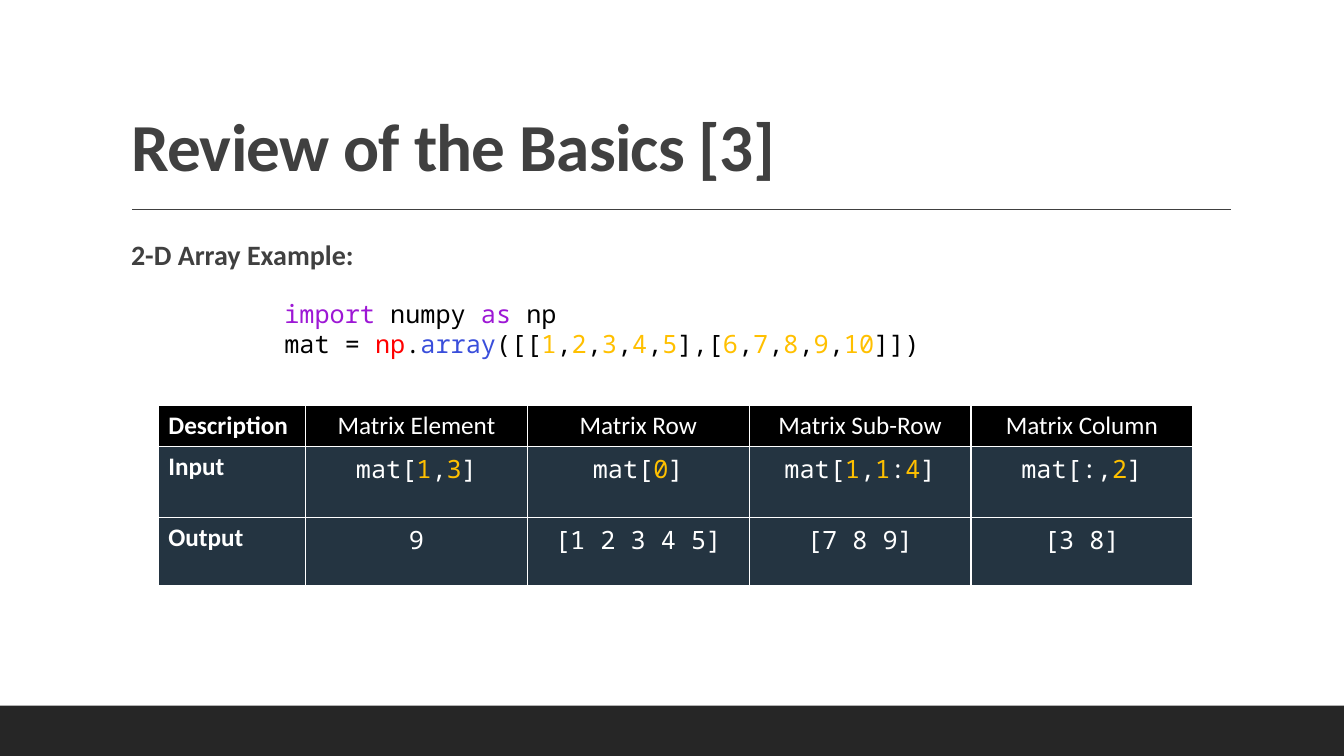
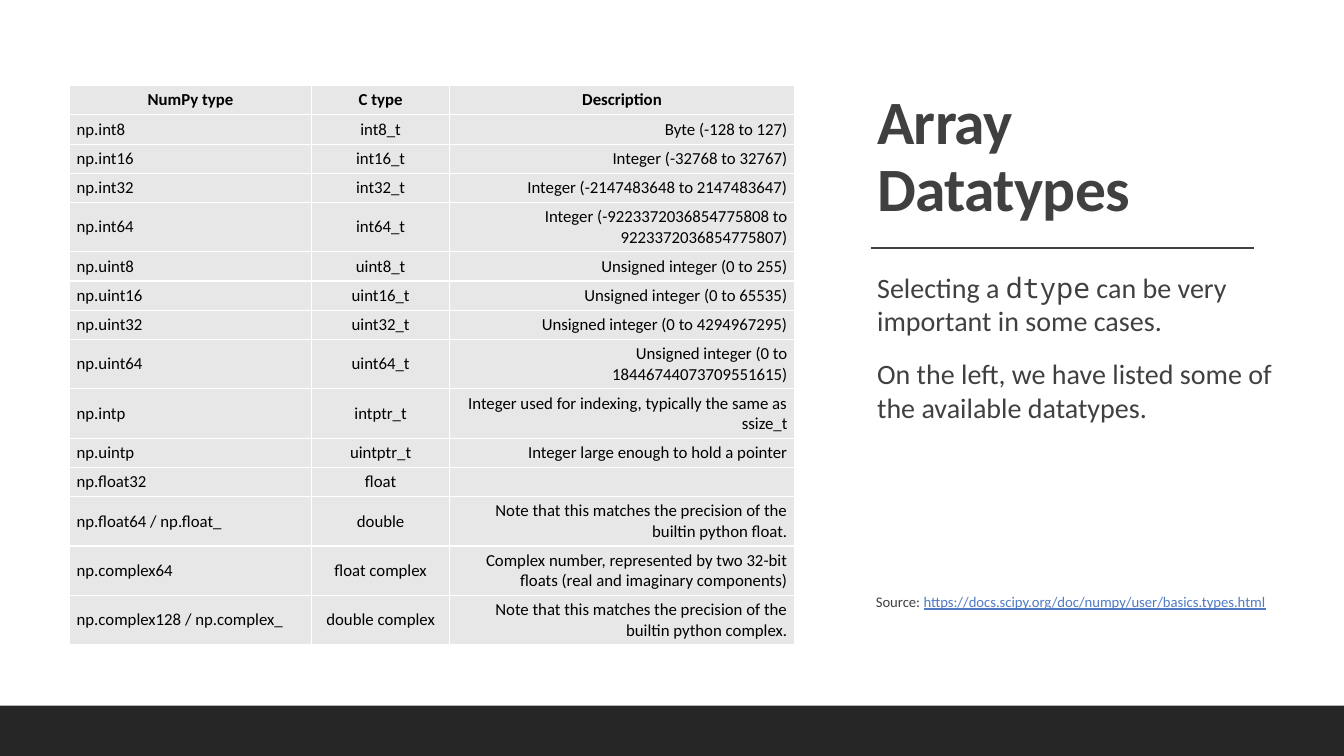
from itertools import groupby

from pptx import Presentation
from pptx.dml.color import RGBColor
from pptx.enum.shapes import MSO_CONNECTOR as Connector, MSO_SHAPE as Preset
from pptx.enum.text import MSO_ANCHOR as Anchor, MSO_AUTO_SIZE as AutoSize, PP_ALIGN as Align
from pptx.oxml import parse_xml
from pptx.oxml.ns import nsdecls
from pptx.util import Inches, Pt

COLORS = {name: RGBColor.from_string(value) for name, value in {
    "ink": "404040", "band": "262626", "black": "000000", "white": "FFFFFF",
    "keyword": "9D17D5", "module": "FF0000", "function": "394EDB", "number": "FFC000",
    "slate": "243441", "pale": "E7E7E7", "link": "4F7BC4",
}.items()}
SANS, MONO = "Calibri", "Noto Sans Mono"

presentation = Presentation()
presentation.slide_width, presentation.slide_height = Inches(13.33), Inches(7.5)
WIDTH, HEIGHT = presentation.slide_width, presentation.slide_height
BAND_HEIGHT = HEIGHT // 15


def write_runs(paragraph, pieces, size, font=SANS, align=Align.LEFT, bold=False, digits=None):
    """Fill a paragraph with (text, colour[, font]) pieces; digits may get their own colour."""
    paragraph.alignment = align
    paragraph.font.size, paragraph.font.name, paragraph.font.bold = Pt(size), font, bold
    for text, color, *own_font in pieces:
        for is_digit, group in groupby(text, lambda letter: bool(digits) and letter.isdigit()):
            run = paragraph.add_run()
            run.text = "".join(group)
            run.font.color.rgb = COLORS[digits if is_digit else color]
            if own_font:
                run.font.name = own_font[0]
            if color == "link":
                run.font.underline = True


def start_slide(title, size, title_box, rule):
    """Add a slide with its bold title, the rule below it and the dark bottom band."""
    slide = presentation.slides.add_slide(presentation.slide_layouts[5])
    heading = slide.shapes.title
    heading.left, heading.top, heading.width, heading.height = map(Inches, title_box)
    frame = heading.text_frame
    frame.word_wrap, frame.auto_size, frame.vertical_anchor = True, AutoSize.NONE, Anchor.BOTTOM
    paragraph = frame.paragraphs[0]
    write_runs(paragraph, [(title, "ink")], size, bold=True)
    paragraph.line_spacing = 0.9
    paragraph.runs[0]._r.get_or_add_rPr().set("spc", "-50")

    left, right, level = map(Inches, rule)
    line = slide.shapes.add_connector(Connector.STRAIGHT, left, level, right, level)
    line.line.color.rgb, line.line.width = COLORS["ink"], Pt(1)
    line._element.spPr.append(parse_xml(f"<a:effectLst {nsdecls('a')}/>"))

    band = slide.shapes.add_shape(Preset.RECTANGLE, 0, HEIGHT - BAND_HEIGHT, WIDTH, BAND_HEIGHT)
    band.shadow.inherit = False
    band.fill.solid()
    band.fill.fore_color.rgb = COLORS["band"]
    band.line.fill.background()
    return slide


basics = start_slide("Review of the Basics [3]", 48, (1.2, 0.31, 11, 1.59), (1.31, 12.21, 2.08))
datatypes = start_slide("Array Datatypes", 44, (8.6, 0.69, 4.04, 1.59), (8.64, 12.44, 2.46))

# Text boxes: slide, box, style, paragraphs
text_boxes = [
    (basics, (1.3, 2.31, 10.9, 0.5), {"size": 20, "bold": True},
     [[("2-D Array Example:", "ink")]]),
    (basics, (2.82, 2.91, 7.7, 0.71), {"size": 18, "font": MONO, "digits": "number"}, [
        [("import", "keyword"), (" numpy ", "black"), ("as", "keyword"), (" np", "black")],
        [("mat = ", "black"), ("np", "module"), (".", "black"), ("array", "function"),
         ("([[1,2,3,4,5],[6,7,8,9,10]])", "black")],
    ]),
    (datatypes, (8.7, 2.63, 3.94, 1.8), {"size": 20}, [
        [("Selecting a ", "ink"), ("dtype", "ink", MONO),
         (" can be very important in some cases.", "ink")],
        [("On the left, we have listed some of the available datatypes.", "ink")],
    ]),
    (datatypes, (8.6, 5.83, 4.04, 0.3), {"size": 10.5, "align": Align.CENTER}, [
        [("Source: ", "ink"),
         ("https://docs.scipy.org/doc/numpy/user/basics.types.html", "link")],
    ]),
]
for slide, box, style, lines in text_boxes:
    frame = slide.shapes.add_textbox(*map(Inches, box)).text_frame
    frame.word_wrap = True
    frame.margin_left = frame.margin_right = 0
    for index, pieces in enumerate(lines):
        paragraph = frame.add_paragraph() if index else frame.paragraphs[0]
        write_runs(paragraph, pieces, **style)
        if slide is datatypes and index < len(lines) - 1:
            paragraph.space_after = Pt(14)

# Matrix indexing table
matrix_rows = [
    ["Description", "Matrix Element", "Matrix Row", "Matrix Sub-Row", "Matrix Column"],
    ["Input", "mat[1,3]", "mat[0]", "mat[1,1:4]", "mat[:,2]"],
    ["Output", "9", "[1 2 3 4 5]", "[7 8 9]", "[3 8]"],
]
# NumPy type table
type_rows = [
    ["NumPy type", "C type", "Description"],
    ["np.int8", "int8_t", "Byte (-128 to 127)"],
    ["np.int16", "int16_t", "Integer (-32768 to 32767)"],
    ["np.int32", "int32_t", "Integer (-2147483648 to 2147483647)"],
    ["np.int64", "int64_t", "Integer (-9223372036854775808 to 9223372036854775807)"],
    ["np.uint8", "uint8_t", "Unsigned integer (0 to 255)"],
    ["np.uint16", "uint16_t", "Unsigned integer (0 to 65535)"],
    ["np.uint32", "uint32_t", "Unsigned integer (0 to 4294967295)"],
    ["np.uint64", "uint64_t", "Unsigned integer (0 to 18446744073709551615)"],
    ["np.intp", "intptr_t", "Integer used for indexing, typically the same as ssize_t"],
    ["np.uintp", "uintptr_t", "Integer large enough to hold a pointer"],
    ["np.float32", "float", ""],
    ["np.float64 / np.float_", "double",
     "Note that this matches the precision of the builtin python float."],
    ["np.complex64", "float complex",
     "Complex number, represented by two 32-bit floats (real and imaginary components)"],
    ["np.complex128 / np.complex_", "double complex",
     "Note that this matches the precision of the builtin python complex."],
]
type_heights = [0.49 if len(row[-1]) > 40 else 0.29 for row in type_rows]
tables = [
    (basics, (1.57, 4.02), [1.46] + [2.2] * 4, [0.41, 0.7, 0.68], matrix_rows),
    (datatypes, (0.69, 0.85), [2.4, 1.37, 3.42], type_heights, type_rows),
]
for slide, (left, top), widths, heights, rows in tables:
    table = slide.shapes.add_table(len(rows), len(widths), Inches(left), Inches(top),
                                   Inches(sum(widths)), Inches(sum(heights))).table
    table.first_row, table.horz_banding = slide is basics, False
    for column, width in zip(table.columns, widths):
        column.width = Inches(width)
    for row_index, (row, height) in enumerate(zip(rows, heights)):
        table.rows[row_index].height = Inches(height)
        for column_index, text in enumerate(row):
            cell = table.cell(row_index, column_index)
            paragraph = cell.text_frame.paragraphs[0]
            is_header, is_label = row_index == 0, column_index == 0
            if slide is basics:
                fill = "black" if is_header else "slate"
                write_runs(paragraph, [(text, "white")], 18,
                           font=SANS if is_header or is_label else MONO,
                           align=Align.LEFT if is_label else Align.CENTER,
                           bold=is_label, digits="number" if row[0] == "Input" else None)
            else:
                fill = "pale"
                align = Align.CENTER if is_header else (Align.LEFT, Align.CENTER, Align.RIGHT)[column_index]
                write_runs(paragraph, [(text, "black")], 12, align=align, bold=is_header)
                cell.vertical_anchor = Anchor.MIDDLE
                cell.margin_left = cell.margin_right = Inches(0.07)
                cell.margin_top = cell.margin_bottom = Inches(0.03)
                if not text:
                    paragraph._p.get_or_add_endParaRPr().set("sz", "1200")
            cell.fill.solid()
            cell.fill.fore_color.rgb = COLORS[fill]

presentation.save("out.pptx")
